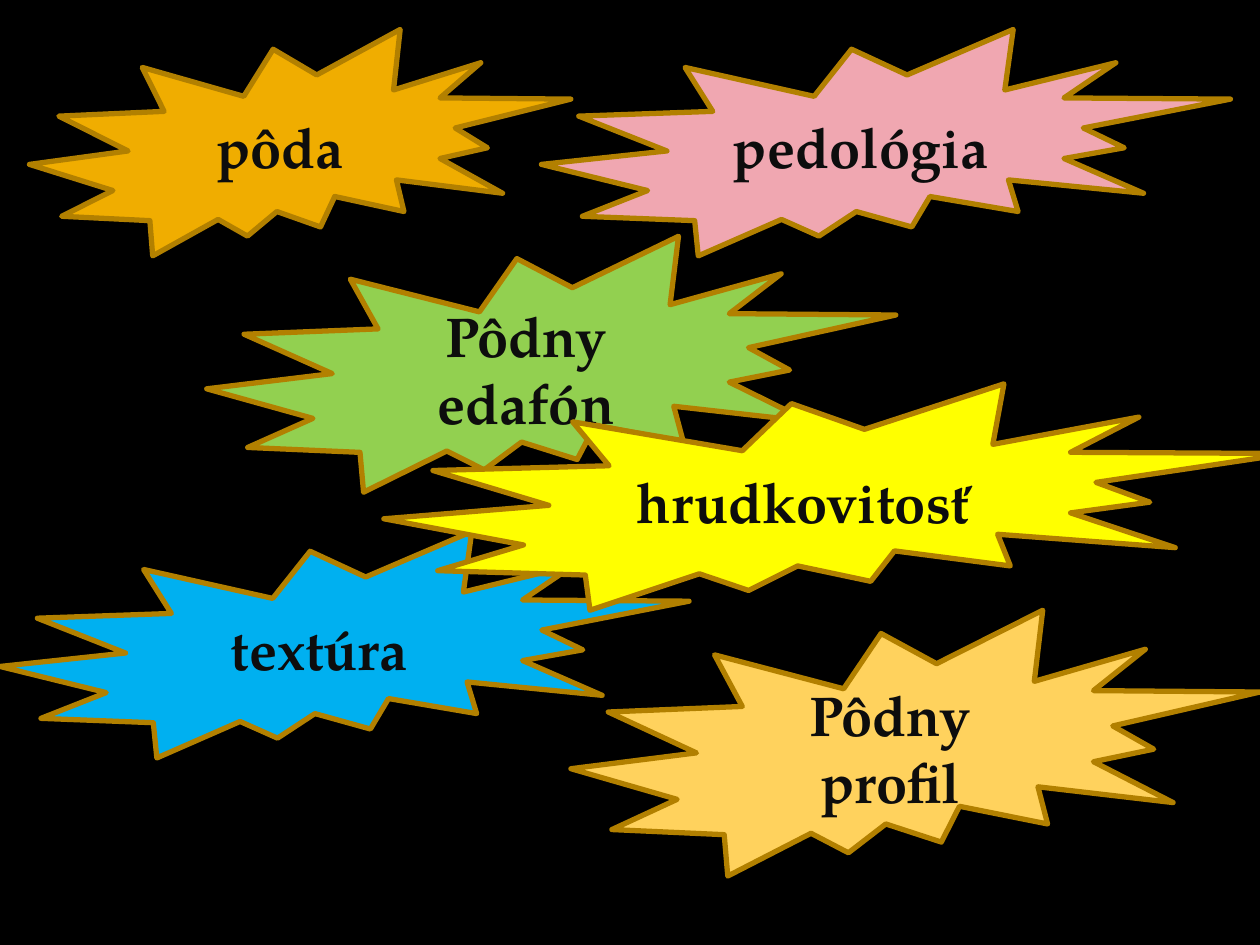
from pptx import Presentation, util as u
from pptx.dml.color import RGBColor
from pptx.enum import shapes, text

COLORS = {
    "background": "000000", "ink": "0D0D0D", "outline": "B28000",
    "amber": "F0AD00", "pink": "F0A7B1", "green": "92D050",
    "blue": "00B0F0", "yellow": "FFFF00", "sand": "FFD25D",
}
COLUMNS, ROWS = 128, 96
WIDE, SHORT = 70, 23
TERMS = [
    ("pôda", "amber", 3, 3, 55, SHORT),
    ("pedológia", "pink", 55, 3, WIDE, SHORT),
    ("Pôdny edafón", "green", 21, 24, WIDE, 26),
    ("textúra", "blue", 0, 54, WIDE, SHORT),
    ("hrudkovitosť", "yellow", 39, 39, 92, SHORT),
    ("Pôdny profil", "sand", 58, 62, WIDE, 27),
]


class Board:
    """Style and current slide, laid out on a grid of square cells."""

    font, size, border = "TeX Gyre Pagella", u.Pt(32), u.Pt(3)

    def __init__(self, prs):
        self.cell_w = prs.slide_width / COLUMNS
        self.cell_h = prs.slide_height / ROWS
        self.s = prs.slides.add_slide(prs.slide_layouts[6])
        self.paint(self.s.background.fill, "background")

    def paint(self, fill, color):
        fill.solid()
        fill.fore_color.rgb = RGBColor.from_string(COLORS[color])

    def burst(self, label, color, col, row, cols, rows):
        sp = self.s.shapes.add_shape(
            shapes.MSO_SHAPE.EXPLOSION2,
            round(col * self.cell_w), round(row * self.cell_h),
            round(cols * self.cell_w), round(rows * self.cell_h))
        sp.shadow.inherit = False
        self.paint(sp.fill, color)
        self.paint(sp.line.fill, "outline")
        sp.line.width = self.border
        tf = sp.text_frame
        tf.word_wrap = True
        tf.vertical_anchor = text.MSO_ANCHOR.MIDDLE
        p = tf.paragraphs[0]
        p.alignment = text.PP_ALIGN.CENTER
        r = p.add_run()
        r.text = label
        r.font.name, r.font.size, r.font.bold = self.font, self.size, True
        self.paint(r.font.fill, "ink")


def main():
    prs = Presentation()
    prs.slide_width, prs.slide_height = u.Inches(10), u.Inches(7.5)
    board = Board(prs)
    for term in TERMS:
        board.burst(*term)
    prs.save("out.pptx")


if __name__ == "__main__":
    main()
